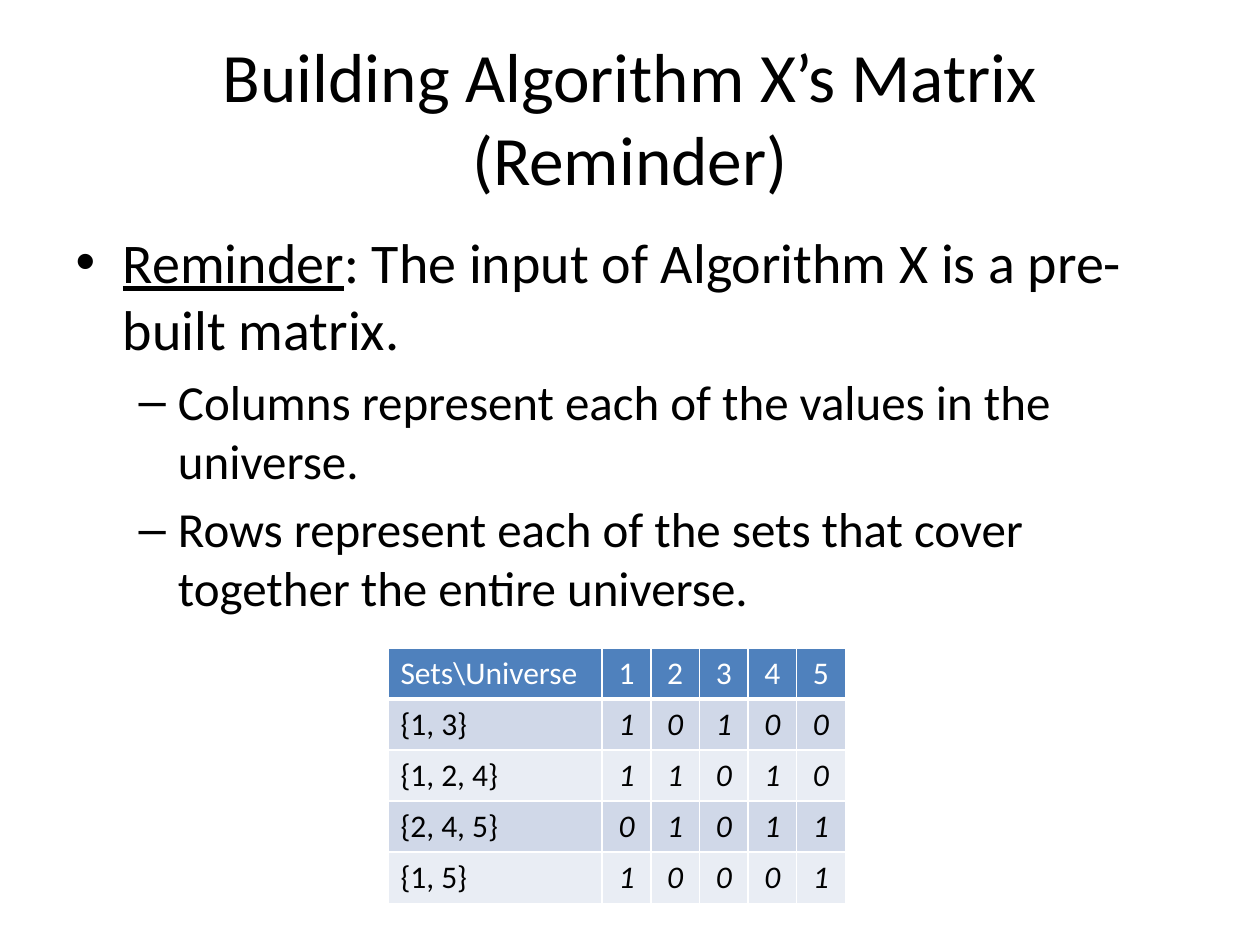
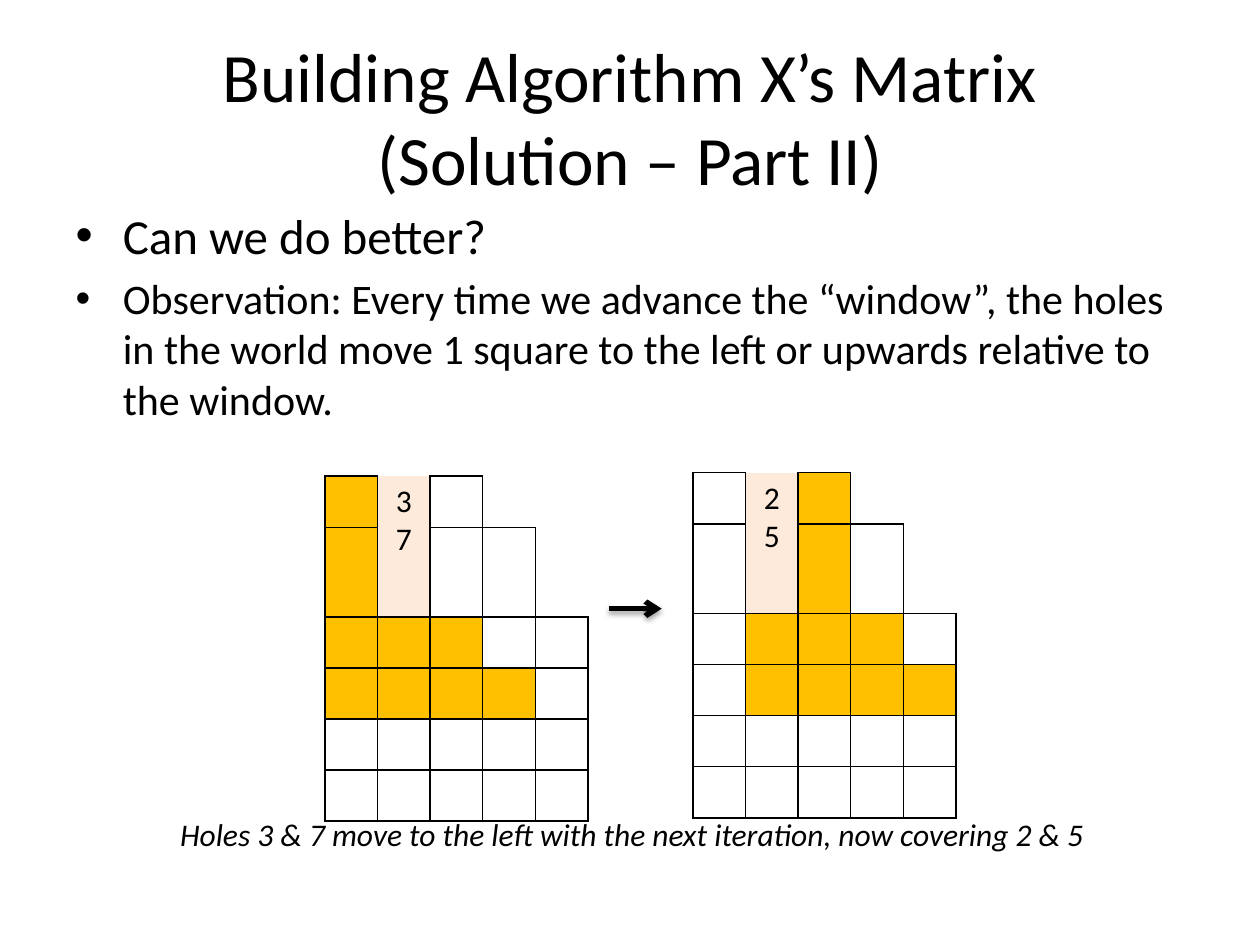
from dataclasses import dataclass
from typing import Any

from lxml.etree import SubElement
from pptx import Presentation
from pptx.dml.color import RGBColor
from pptx.enum.shapes import MSO_CONNECTOR
from pptx.enum.text import MSO_ANCHOR, MSO_AUTO_SIZE, PP_ALIGN
from pptx.oxml.ns import qn
from pptx.util import Cm, Pt

BLACK, WHITE = "000000", "FFFFFF"
HEADER_BLUE = "4F81BD"
ROW_BANDS = ("D0D8E8", "E9EDF4")
GOLD, PEACH = "FFC000", "FDEADA"

FONT = "Calibri"
TITLE_SIZE, SMALL_SIZE = 39.6, 18
TITLE_AREA = (1.27, 0.76, 22.86, 3.18)
ROW_HEIGHT = 1.03
ALL_EDGES = "LRTB"

COVER_HEADER = ("Sets\\Universe", "1", "2", "3", "4", "5")
COVER_ROWS = (
    ("{1, 3}", "10100"),
    ("{1, 2, 4}", "11010"),
    ("{2, 4, 5}", "01011"),
    ("{1, 5}", "10001"),
)

# G: window square, H: hole, _: outside the world, .: free square
SQUARE_FILLS = {"G": GOLD, "H": PEACH, "_": WHITE, ".": WHITE}
SQUARE_EDGES = {"H": "LRB", "_": "LB"}


@dataclass
class Bullet:
    spans: list[tuple[str, bool]]  # text, underlined
    size: float
    level: int = 0


@dataclass
class World:
    left: float
    top: float
    hole_numbers: str
    squares: tuple[str, ...]


REMINDER_BULLETS = [
    Bullet([("Reminder", True),
            (": The input of Algorithm X is a pre-built matrix.", False)], 32),
    Bullet([("Columns represent each of the values in the universe.", False)], 28, 1),
    Bullet([("Rows represent each of the sets that cover together the entire universe.",
             False)], 28, 1),
]
SOLUTION_BULLETS = [
    Bullet([("Can we do better?", False)], 28),
    Bullet([("Observation: Every time we advance the “window”, the holes in the world "
             "move 1 square to the left or upwards relative to the window.", False)], 24),
]
WORLDS = (
    World(6.55, 9.6, "3\n7",
          ("GH.__", "GH.._", "GGG..", "GGGG.", ".....", ".....")),
    World(13.97, 9.53, "2\n5",
          (".HG__", ".HG._", ".GGG.", ".GGGG", ".....", ".....")),
)


def rgb(colour: str) -> RGBColor:
    return RGBColor.from_string(colour)


def set_values(target: Any, values: dict[str, Any]) -> None:
    for name, value in values.items():
        setattr(target, name, value)


def style_font(font: Any, size: float, colour: str = BLACK, **extra: Any) -> None:
    set_values(font, {"name": FONT, "size": Pt(size), "bold": False, **extra})
    font.color.rgb = rgb(colour)


def place(shape: Any, area: tuple[float, ...]) -> None:
    set_values(shape, dict(zip(("left", "top", "width", "height"), map(Cm, area))))


def add_page(deck: Any, title: str, bullets: list[Bullet], body_top: float) -> Any:
    page = deck.slides.add_slide(deck.slide_layouts[1])
    heading, body = page.shapes.title, page.placeholders[1]
    place(heading, TITLE_AREA)
    place(body, (1.27, body_top, 22.86, 12.57))
    heading.text_frame.text = title
    for frame, anchor in ((heading.text_frame, MSO_ANCHOR.MIDDLE),
                          (body.text_frame, MSO_ANCHOR.TOP)):
        set_values(frame, {"auto_size": MSO_AUTO_SIZE.NONE, "vertical_anchor": anchor})
    para = heading.text_frame.paragraphs[0]
    para.alignment = PP_ALIGN.CENTER
    for span in para.runs:
        style_font(span.font, TITLE_SIZE)

    for index, bullet in enumerate(bullets):
        frame = body.text_frame
        para = frame.add_paragraph() if index else frame.paragraphs[0]
        para.level = bullet.level
        for text, underlined in bullet.spans:
            span = para.add_run()
            span.text = text
            style_font(span.font, bullet.size, underline=underlined)
    return page


def draw_edges(cell: Any, colour: str, edges: str = ALL_EDGES, bottom: float = 1) -> None:
    """Draw the named edges and hide the others."""
    properties = cell._tc.get_or_add_tcPr()
    for edge in ALL_EDGES:
        width = bottom if edge == "B" else 1
        line = SubElement(properties, qn(f"a:ln{edge}"), w=str(Pt(width)))
        if edge in edges:
            SubElement(SubElement(line, qn("a:solidFill")), qn("a:srgbClr"), val=colour)
        else:
            SubElement(line, qn("a:noFill"))


def fill_cell(cell: Any, colour: str) -> None:
    cell.fill.solid()
    cell.fill.fore_color.rgb = rgb(colour)


def write_cell(cell: Any, text: str, align: Any, colour: str = BLACK,
               italic: bool = False) -> None:
    cell.text_frame.text = text
    for para in cell.text_frame.paragraphs:
        para.alignment = align
        style_font(para.runs[0].font, SMALL_SIZE, colour, italic=italic)


def add_grid(page: Any, left: float, top: float, widths: list[float], rows: int) -> Any:
    grid = page.shapes.add_table(rows, len(widths), Cm(left), Cm(top),
                                 Cm(sum(widths)), Cm(ROW_HEIGHT * rows)).table
    for column, width in zip(grid.columns, widths):
        column.width = Cm(width)
    for row in grid.rows:
        row.height = Cm(ROW_HEIGHT)
    return grid


def add_cover_matrix(page: Any) -> None:
    rows = [COVER_HEADER] + [(name, *bits) for name, bits in COVER_ROWS]
    grid = add_grid(page, 7.82, 13.06, [4.32] + [0.98] * 5, len(rows))
    for r, texts in enumerate(rows):
        header = r == 0
        for c, text in enumerate(texts):
            cell = grid.cell(r, c)
            draw_edges(cell, WHITE, bottom=3 if header else 1)
            fill_cell(cell, HEADER_BLUE if header else ROW_BANDS[(r - 1) % 2])
            write_cell(cell, text, PP_ALIGN.CENTER if c else PP_ALIGN.LEFT,
                       WHITE if header else BLACK, italic=not header and c > 0)


def add_world(page: Any, world: World) -> None:
    grid = add_grid(page, world.left, world.top, [1.06] * 5, len(world.squares))
    for r, squares in enumerate(world.squares):
        for c, square in enumerate(squares):
            cell = grid.cell(r, c)
            draw_edges(cell, BLACK, SQUARE_EDGES.get(square, ALL_EDGES))
            fill_cell(cell, SQUARE_FILLS[square])
    grid.cell(0, 1).merge(grid.cell(1, 1))
    grid.cell(0, 3).merge(grid.cell(0, 4))
    write_cell(grid.cell(0, 1), world.hole_numbers, PP_ALIGN.CENTER)


def add_step_arrow(page: Any) -> None:
    """Draw the arrow between the two worlds, with its soft shadow."""
    arrow = page.shapes.add_connector(MSO_CONNECTOR.STRAIGHT, Cm(12.27), Cm(12.27),
                                      Cm(13.34), Cm(12.27))
    arrow.line.color.rgb = rgb(BLACK)
    arrow.line.width = Pt(3)
    SubElement(arrow.line._get_or_add_ln(), qn("a:tailEnd"), type="arrow")
    effects = SubElement(arrow._element.spPr, qn("a:effectLst"))
    shadow = SubElement(effects, qn("a:outerShdw"), blurRad=str(Pt(3.1)),
                        dist=str(Pt(1.8)), dir="5400000", rotWithShape="0")
    tint = SubElement(shadow, qn("a:srgbClr"), val=BLACK)
    SubElement(tint, qn("a:alpha"), val="35000")


def add_caption(page: Any, text: str) -> None:
    box = page.shapes.add_textbox(Cm(3.38), Cm(16.31), Cm(19.89), Cm(1.02))
    box.text_frame.word_wrap = True
    span = box.text_frame.paragraphs[0].add_run()
    span.text = text
    style_font(span.font, SMALL_SIZE, italic=True)


def main() -> None:
    deck = Presentation()
    set_values(deck, {"slide_width": Cm(25.4), "slide_height": Cm(19.05)})

    reminder = add_page(deck, "Building Algorithm X’s Matrix (Reminder)",
                        REMINDER_BULLETS, 4.45)
    add_cover_matrix(reminder)

    solution = add_page(deck, "Building Algorithm X’s Matrix\v(Solution – Part II)",
                        SOLUTION_BULLETS, 4.01)
    for world in WORLDS:
        add_world(solution, world)
    add_step_arrow(solution)
    add_caption(solution, "Holes 3 & 7 move to the left with the next iteration, "
                          "now covering 2 & 5")
    deck.save("out.pptx")


if __name__ == "__main__":
    main()
